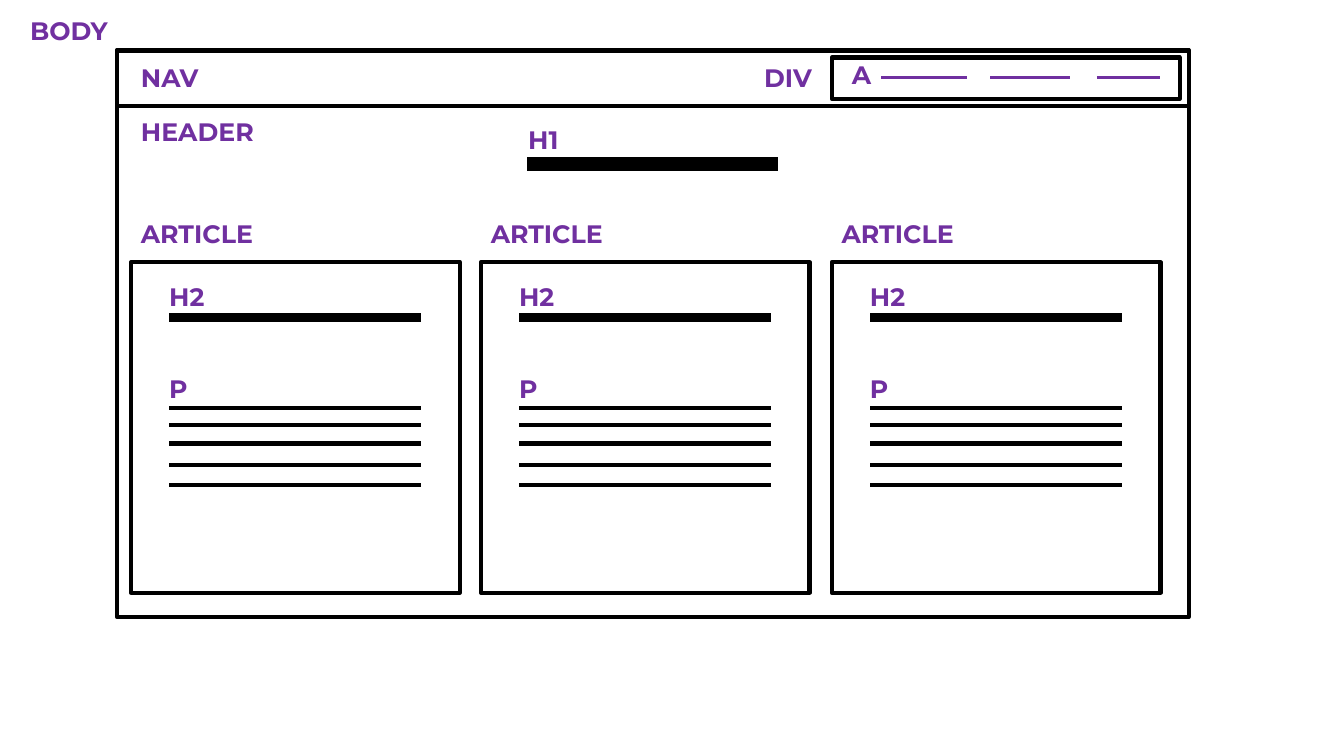
"""Draw a wireframe of a web page labelled with its HTML elements."""
from dataclasses import dataclass

from pptx import Presentation
from pptx.dml.color import RGBColor
from pptx.enum.shapes import MSO_CONNECTOR, MSO_SHAPE
from pptx.enum.text import MSO_AUTO_SIZE
from pptx.oxml.ns import qn
from pptx.slide import Slide
from pptx.util import Emu, Pt
from lxml.etree import SubElement

EMU_PER_PX = 9144


@dataclass(frozen=True)
class Theme:
    ink: RGBColor = RGBColor(0x00, 0x00, 0x00)
    tag: RGBColor = RGBColor(0x70, 0x30, 0xA0)
    font: str = "Montserrat"
    tag_size: float = 18
    outline: float = 3
    h1_rule: float = 10
    h2_rule: float = 6
    link_rule: float = 2.25


@dataclass(frozen=True)
class Box:
    left: int
    top: int
    width: int
    height: int


@dataclass(frozen=True)
class Tag:
    text: str
    left: int
    top: int
    width: int = 125
    height: int = 40


@dataclass(frozen=True)
class Rule:
    left: int
    y: int
    width: int
    weight: float
    color: RGBColor


THEME = Theme()

PAGE_BOXES = [
    Box(116, 50, 1063, 562),
    Box(116, 50, 1063, 55),
    Box(825, 57, 345, 41),
]
PAGE_TAGS = [
    Tag("BODY", 20, 10),
    Tag("NAV", 130, 57),
    Tag("DIV", 748, 57, 77),
    Tag("A", 835, 54, 77),
    Tag("HEADER", 130, 110, 174),
    Tag("H1", 514, 118),
]
PAGE_RULES = [
    Rule(523, 163, 249, THEME.h1_rule, THEME.ink),
    Rule(874, 77, 85, THEME.link_rule, THEME.tag),
    Rule(982, 77, 79, THEME.link_rule, THEME.tag),
    Rule(1088, 77, 63, THEME.link_rule, THEME.tag),
]
ARTICLE_LEFTS = [130 + 695 * column // 2 for column in range(3)]
PARAGRAPH_LINES = [405, 422, 440, 461, 481]


def px(length: int) -> Emu:
    """Turn a length in px into EMU."""
    return Emu(length * EMU_PER_PX)


def draw_box(slide: Slide, box: Box) -> None:
    """Draw an unfilled outline."""
    outline = slide.shapes.add_shape(
        MSO_SHAPE.RECTANGLE, px(box.left), px(box.top), px(box.width), px(box.height)
    )
    outline.shadow.inherit = False
    outline.fill.background()
    outline.line.color.rgb = THEME.ink
    outline.line.width = Pt(THEME.outline)


def draw_tag(slide: Slide, tag: Tag) -> None:
    """Write the name of an HTML element."""
    label = slide.shapes.add_textbox(
        px(tag.left), px(tag.top), px(tag.width), px(tag.height)
    )
    frame = label.text_frame
    frame.word_wrap = True
    frame.auto_size = MSO_AUTO_SIZE.SHAPE_TO_FIT_TEXT
    run = frame.paragraphs[0].add_run()
    run.text = tag.text
    run.font.name = THEME.font
    run.font.size = Pt(THEME.tag_size)
    run.font.bold = True
    run.font.color.rgb = THEME.tag


def draw_rule(slide: Slide, rule: Rule) -> None:
    """Draw a horizontal line that stands for text."""
    stroke = slide.shapes.add_connector(
        MSO_CONNECTOR.STRAIGHT,
        px(rule.left), px(rule.y), px(rule.left + rule.width), px(rule.y),
    )
    stroke.line.color.rgb = rule.color
    stroke.line.width = Pt(rule.weight)
    SubElement(stroke._element.spPr, qn("a:effectLst"))


def draw_article(slide: Slide, left: int) -> None:
    """Draw one article with its heading and paragraph."""
    draw_box(slide, Box(left, 260, 326, 328))
    for tag in (
        Tag("ARTICLE", left, 212, 174),
        Tag("H2", left + 28, 274),
        Tag("P", left + 28, 365),
    ):
        draw_tag(slide, tag)
    draw_rule(slide, Rule(left + 38, 315, 250, THEME.h2_rule, THEME.ink))
    for y in PARAGRAPH_LINES:
        draw_rule(slide, Rule(left + 38, y, 250, THEME.outline, THEME.ink))


def main() -> None:
    """Build the slide and save it."""
    deck = Presentation()
    deck.slide_width, deck.slide_height = px(1333), px(750)
    slide = deck.slides.add_slide(deck.slide_layouts[6])
    for box in PAGE_BOXES:
        draw_box(slide, box)
    for left in ARTICLE_LEFTS:
        draw_article(slide, left)
    for rule in PAGE_RULES:
        draw_rule(slide, rule)
    for tag in PAGE_TAGS:
        draw_tag(slide, tag)
    deck.save("out.pptx")


if __name__ == "__main__":
    main()
